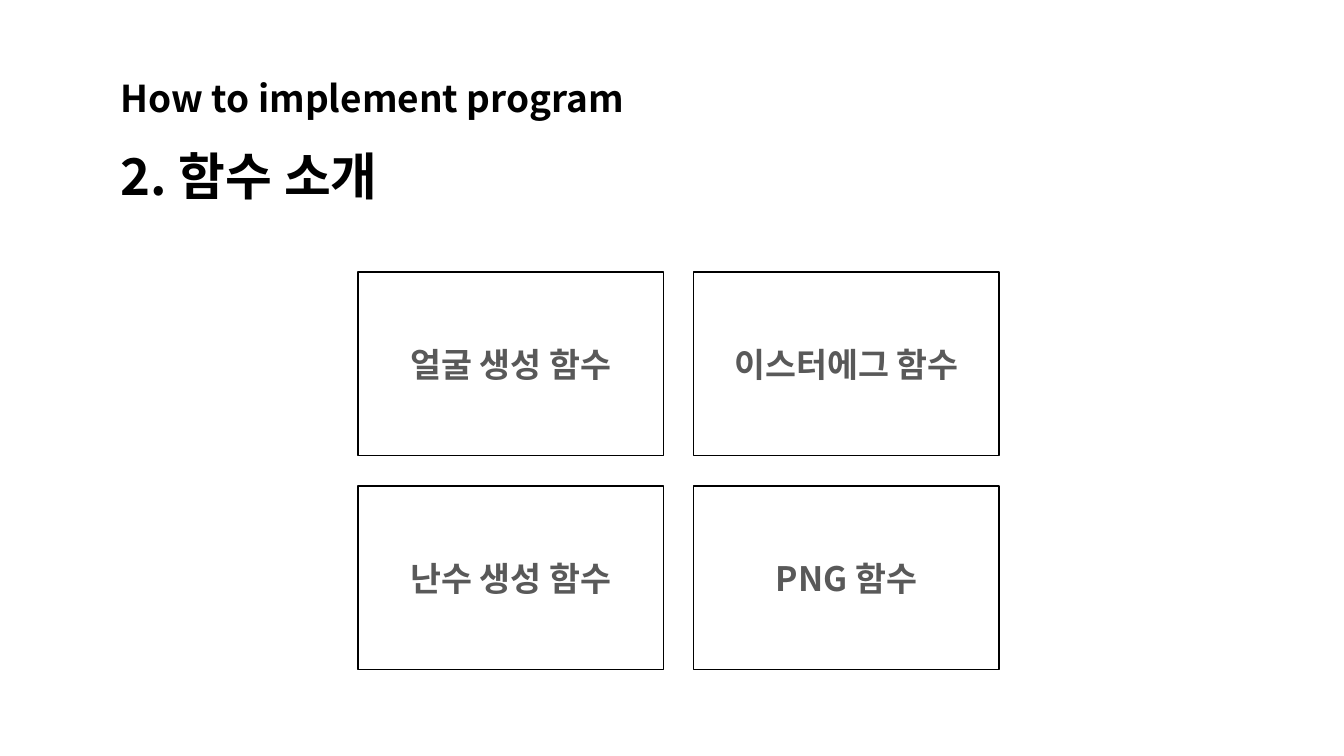
from lxml.etree import SubElement
from pptx import Presentation
from pptx.dml.color import RGBColor
from pptx.enum.shapes import MSO_SHAPE as Shape
from pptx.enum.text import MSO_ANCHOR as Anchor, PP_ALIGN as Align
from pptx.oxml.ns import qn
from pptx.util import Inches, Pt

FONT = "Noto Sans CJK KR"
BLACK, WHITE, GRAY = "000000", "FFFFFF", "595959"

SECTION = "How to implement program"
TITLE = "2. 함수 소개"
FUNCTIONS = [
    ["얼굴 생성 함수", "이스터에그 함수"],
    ["난수 생성 함수", "PNG 함수"],
]

GRID_LEFT, GRID_TOP = 3.55, 2.7
CARD_WIDTH, CARD_HEIGHT, GAP = 3.03, 1.82, 0.3


def color(hex_code):
    return RGBColor.from_string(hex_code)


def style(run, size, hex_code):
    """Format a run, using the same typeface for Latin and Korean letters."""
    run.font.size = Pt(size)
    run.font.bold = True
    run.font.color.rgb = color(hex_code)
    run.font.name = FONT
    SubElement(run.font._element, qn("a:ea")).set("typeface", FONT)


def add_heading(slide):
    heading = slide.shapes.add_textbox(
        Inches(1.1), Inches(0.58), Inches(11.5), Inches(1.45))
    frame = heading.text_frame
    frame.word_wrap = True
    frame.vertical_anchor = Anchor.MIDDLE
    lines = frame.paragraphs[0]
    lines.text = f"{SECTION}\v{TITLE}"
    lines.line_spacing = 1.4
    for run, size in zip(lines.runs, (26.4, 36.3)):
        style(run, size, BLACK)


def add_card(slide, row, column, label):
    card = slide.shapes.add_shape(
        Shape.RECTANGLE,
        Inches(GRID_LEFT + column * (CARD_WIDTH + GAP)),
        Inches(GRID_TOP + row * (CARD_HEIGHT + GAP)),
        Inches(CARD_WIDTH), Inches(CARD_HEIGHT))
    card.shadow.inherit = False
    card.fill.solid()
    card.fill.fore_color.rgb = color(WHITE)
    card.line.color.rgb = color(BLACK)
    card.line.width = Pt(1)

    frame = card.text_frame
    frame.word_wrap = True
    frame.vertical_anchor = Anchor.MIDDLE
    frame.margin_left = frame.margin_right = Inches(0.1)
    frame.margin_top = frame.margin_bottom = Inches(0.1)
    frame.text = label
    caption = frame.paragraphs[0]
    caption.alignment = Align.CENTER
    style(caption.runs[0], 24, GRAY)


def main():
    deck = Presentation()
    deck.slide_width, deck.slide_height = Inches(13.33), Inches(7.5)
    slide = deck.slides.add_slide(deck.slide_layouts[6])
    add_heading(slide)
    for row, labels in enumerate(FUNCTIONS):
        for column, label in enumerate(labels):
            add_card(slide, row, column, label)
    deck.save("out.pptx")


if __name__ == "__main__":
    main()
